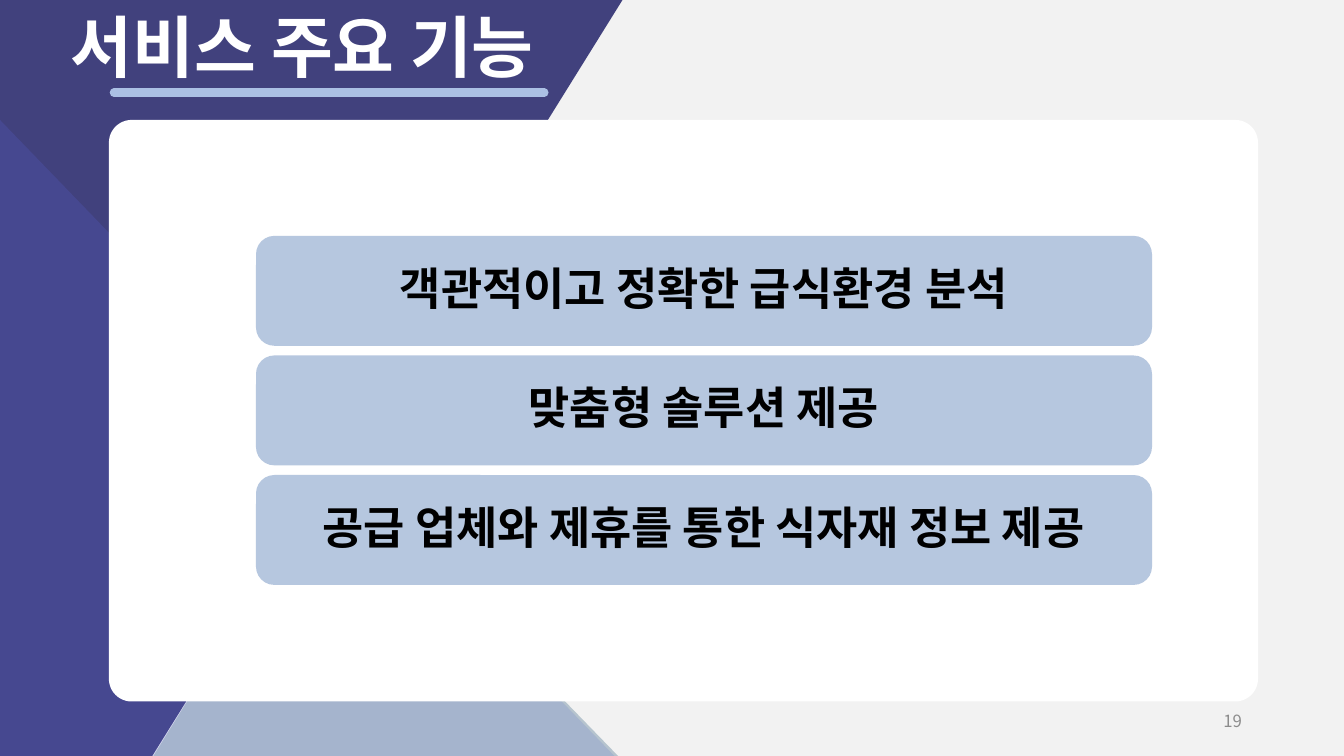
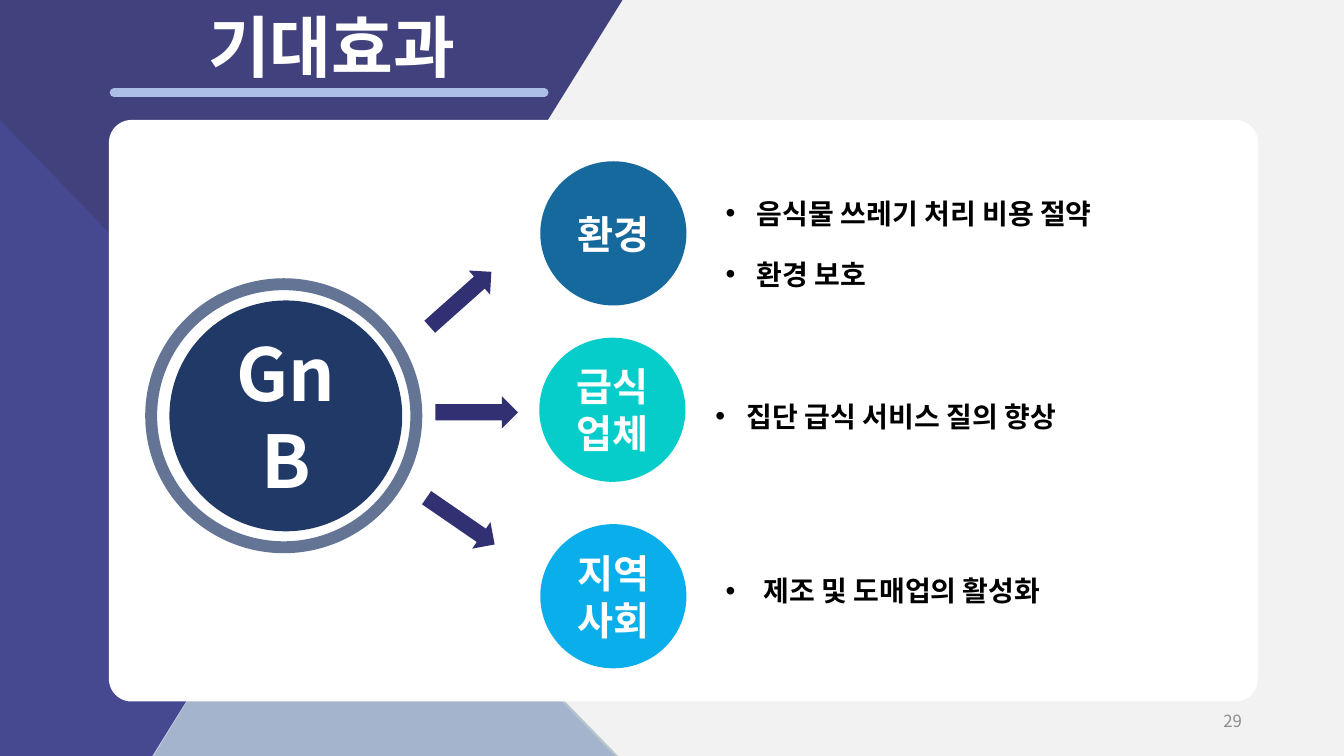
import pptx
import pptx.dml.color
import pptx.enum.shapes
import pptx.enum.text
import pptx.oxml
import pptx.oxml.ns
import pptx.util

Pt = pptx.util.Pt
qn = pptx.oxml.ns.qn
SHAPE = pptx.enum.shapes.MSO_SHAPE
ALIGN = pptx.enum.text.PP_ALIGN
ANCHOR = pptx.enum.text.MSO_ANCHOR
GROW = pptx.enum.text.MSO_AUTO_SIZE.SHAPE_TO_FIT_TEXT

COLORS = {
    "paper": "F2F2F2", "panel": "FFFFFF", "navy": "303072", "violet": "606BF1",
    "rule": "ABC0E4", "slate": "386383", "card": "7B99C5", "ring": "637494",
    "core": "213967", "environment": "16699D", "caterers": "06CDCA",
    "community": "0AAEEA", "white": "FFFFFF", "black": "000000", "gray": "8C8C8C",
}
BODY_FONT = "Noto Sans CJK KR"
FORMATS = {
    "title": {"name": "Arial", "size": Pt(48), "bold": True},
    "card": {"name": BODY_FONT, "size": Pt(32), "bold": True},
    "core": {"name": BODY_FONT, "size": Pt(52), "bold": True},
    "circle": {"name": BODY_FONT, "size": Pt(28), "bold": True},
    "bullet": {"name": BODY_FONT, "size": Pt(20), "bold": True},
    "number": {"name": BODY_FONT, "size": Pt(12), "bold": False},
}


def rgb(color):
    """Return the named colour."""
    return pptx.dml.color.RGBColor.from_string(COLORS[color])


def apply(target, values):
    """Set each attribute in values on target."""
    for name, value in values.items():
        setattr(target, name, value)


def box(left, top, width, height):
    """Return a position and size given in points."""
    return dict(left=Pt(left), top=Pt(top), width=Pt(width), height=Pt(height))


def write(tf, lines, style, color, align=ALIGN.CENTER, **paragraph):
    """Fill a text frame with one formatted paragraph per line."""
    apply(tf, {"word_wrap": True, "vertical_anchor": ANCHOR.MIDDLE})
    for i, line in enumerate(lines):
        p = tf.add_paragraph() if i else tf.paragraphs[0]
        apply(p, {"alignment": align, **paragraph})
        r = p.add_run()
        r.text = line
        r.font.color.rgb = rgb(color)
        apply(r.font, FORMATS[style])
        ea = pptx.oxml.parse_xml(
            f'<a:ea {pptx.oxml.ns.nsdecls("a")} typeface="{BODY_FONT}"/>')
        r.font._element.append(ea)


def add_shape(s, kind, bounds, color, alpha=100, adj=None, rotation=0):
    """Add a flat preset shape without an outline."""
    sp = s.shapes.add_shape(kind, **box(*bounds))
    sp.shadow.inherit = False
    sp.fill.solid()
    sp.fill.fore_color.rgb = rgb(color)
    sp.line.fill.background()
    sp.rotation = rotation
    if adj is not None:
        sp.adjustments[0] = adj
    if alpha < 100:
        clr = sp._element.spPr.find(".//" + qn("a:srgbClr"))
        clr.append(pptx.oxml.parse_xml(
            f'<a:alpha {pptx.oxml.ns.nsdecls("a")} val="{alpha * 1000}"/>'))
    return sp


def add_rule(s, x1, x2, y):
    """Add the round-ended line under the title."""
    cx = s.shapes.add_connector(
        pptx.enum.shapes.MSO_CONNECTOR.STRAIGHT, Pt(x1), Pt(y), Pt(x2), Pt(y))
    cx.line.color.rgb = rgb("rule")
    cx.line.width = Pt(6)
    cx.line._get_or_add_ln().set("cap", "rnd")
    cx._element.spPr.append(
        pptx.oxml.parse_xml(f'<a:effectLst {pptx.oxml.ns.nsdecls("a")}/>'))


def add_text(s, bounds, lines, style, color, **paragraph):
    """Add a text box and return its text frame."""
    tf = s.shapes.add_textbox(**box(*bounds)).text_frame
    write(tf, lines, style, color, **paragraph)
    return tf


def add_bullets(s, left, top, height, lines, indent=22.3):
    """Add a bulleted list with a hanging indent."""
    tf = add_text(s, (left, top, 340, height), lines, "bullet", "black",
                  align=ALIGN.JUSTIFY, line_spacing=1.6, space_before=Pt(5))
    tf.auto_size = GROW
    for p in tf.paragraphs:
        pPr = p._p.get_or_add_pPr()
        pPr.set("marL", str(Pt(indent)))
        pPr.set("indent", str(-Pt(indent)))
        for tag in ('buFont typeface="Arial"', 'buChar char="•"'):
            pPr.append(pptx.oxml.parse_xml(
                f'<a:{tag} {pptx.oxml.ns.nsdecls("a")}/>'))


def add_circle(s, bounds, lines, color, style="circle"):
    """Add a filled circle with a white label."""
    sp = add_shape(s, SHAPE.OVAL, bounds, color)
    write(sp.text_frame, lines, style, "white")


def add_slide(prs, title, number, align):
    """Add a slide with the shared backdrop, title and number."""
    s = prs.slides.add_slide(prs.slide_layouts[5])
    add_shape(s, SHAPE.PARALLELOGRAM, (-775.4, -38.9, 1244.2, 598.3),
              "navy", 91, 0.622)
    band = add_shape(s, SHAPE.PARALLELOGRAM, (-974.9, 53.3, 1549.4, 627.1),
                     "violet", 17, 0.966)
    band._element.spPr.find(qn("a:xfrm")).set("flipH", "1")
    add_rule(s, 81.4, 388.8, 66.2)
    add_shape(s, SHAPE.ISOSCELES_TRIANGLE, (107.3, 331.2, 337.7, 212.4),
              "slate", 32, 0.389)
    add_shape(s, SHAPE.ROUNDED_RECTANGLE, (77.8, 85.7, 820.8, 415.4),
              "panel", adj=0.039)
    sp = s.shapes.title
    apply(sp, box(43.2, 0, 387.4, 65.5))
    write(sp.text_frame, [title], "title", "white", align)
    sp.text_frame.auto_size = GROW
    s.shapes._spTree.append(sp._element)
    add_text(s, (678.2, 500.4, 216, 28.8), [number], "number", "gray",
             align=ALIGN.RIGHT)
    return s


def add_features(prs):
    """Build the slide of main service features."""
    s = add_slide(prs, "서비스 주요 기능", "19", ALIGN.LEFT)
    features = ["객관적이고 정확한 급식환경 분석", "맞춤형 솔루션 제공",
                "공급 업체와 제휴를 통한 식자재 정보 제공"]
    for i, feature in enumerate(features):
        sp = add_shape(s, SHAPE.ROUNDED_RECTANGLE,
                       (182.9, 168.5 + 85.4 * i, 640, 78.5), "card", 55)
        write(sp.text_frame, [feature], "card", "black", line_spacing=0.9)


def add_effects(prs):
    """Build the slide of expected effects."""
    s = add_slide(prs, "기대효과", "29", ALIGN.CENTER)
    ring = add_shape(s, SHAPE.OVAL, (108, 203, 189.4, 187.9), "ring")
    ring.fill.background()
    ring.line.color.rgb = rgb("ring")
    ring.line.width = Pt(8.5)
    add_circle(s, (121, 214.6, 166.3, 164.9), ["GnB"], "core", "core")
    for left, top, lines, color in [
            (385.9, 115.2, ["환경"], "environment"),
            (385.2, 241.2, ["급식업체"], "caterers"),
            (385.9, 374.4, ["지역", "사회"], "community")]:
        add_circle(s, (left, top, 104.4, 103), lines, color)
    add_bullets(s, 511.2, 124.6, 84.2, ["음식물 쓰레기 처리 비용 절약", "환경 보호"])
    add_bullets(s, 504, 270, 40.3, ["집단 급식 서비스 질의 향상"])
    add_bullets(s, 511.2, 394.6, 40.3, ["제조 및 도매업의 활성화"], 27)
    for left, top, rotation in [
            (299.5, 202.3, 318.3), (311, 283, 0), (299.5, 360.7, 34.5)]:
        add_shape(s, SHAPE.RIGHT_ARROW, (left, top, 59, 23), "navy",
                  rotation=rotation)


def main():
    """Build and save the presentation."""
    prs = pptx.Presentation()
    apply(prs, {"slide_width": Pt(960), "slide_height": Pt(540)})
    fill = prs.slide_master.background.fill
    fill.solid()
    fill.fore_color.rgb = rgb("paper")
    add_features(prs)
    add_effects(prs)
    prs.save("out.pptx")


if __name__ == "__main__":
    main()
